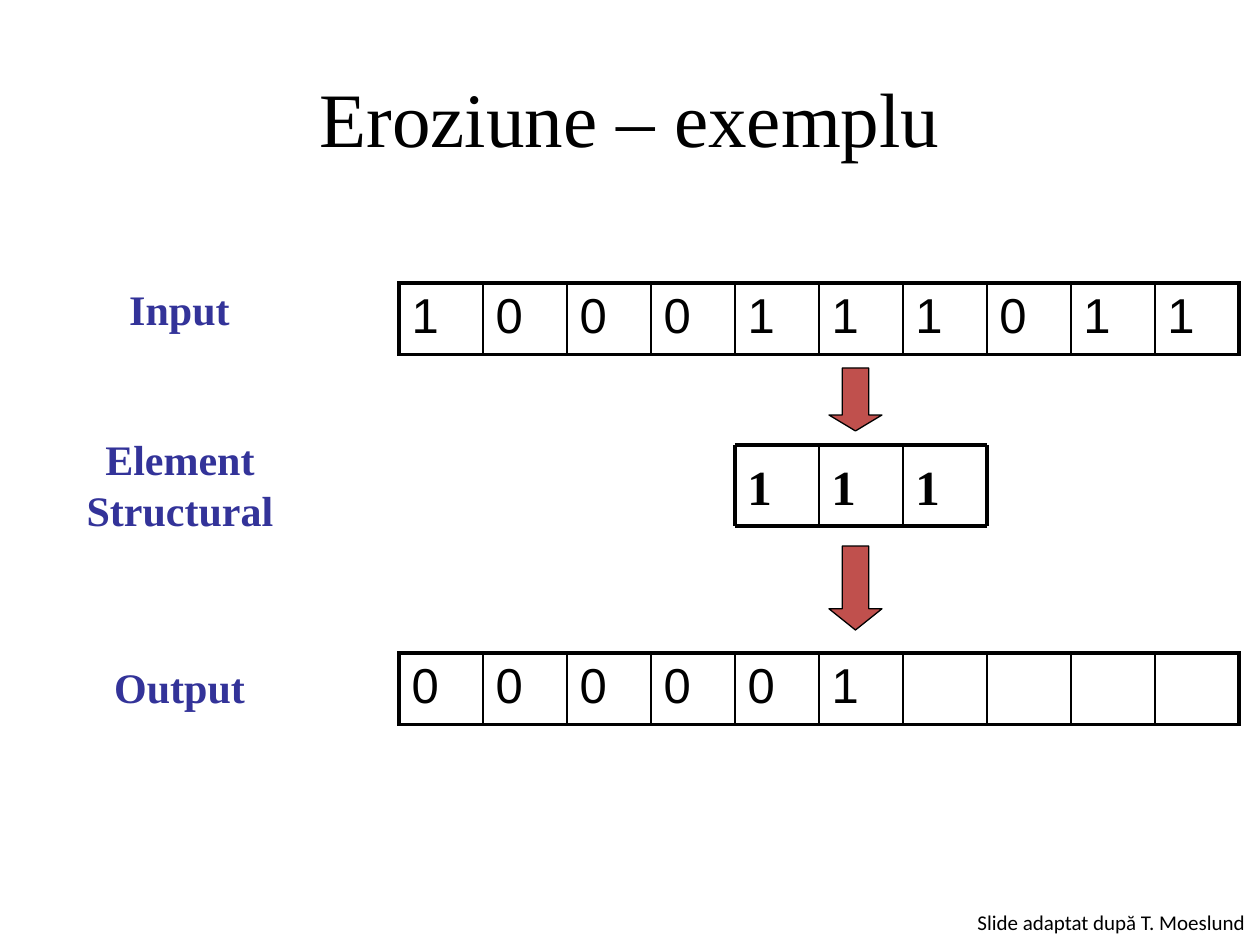
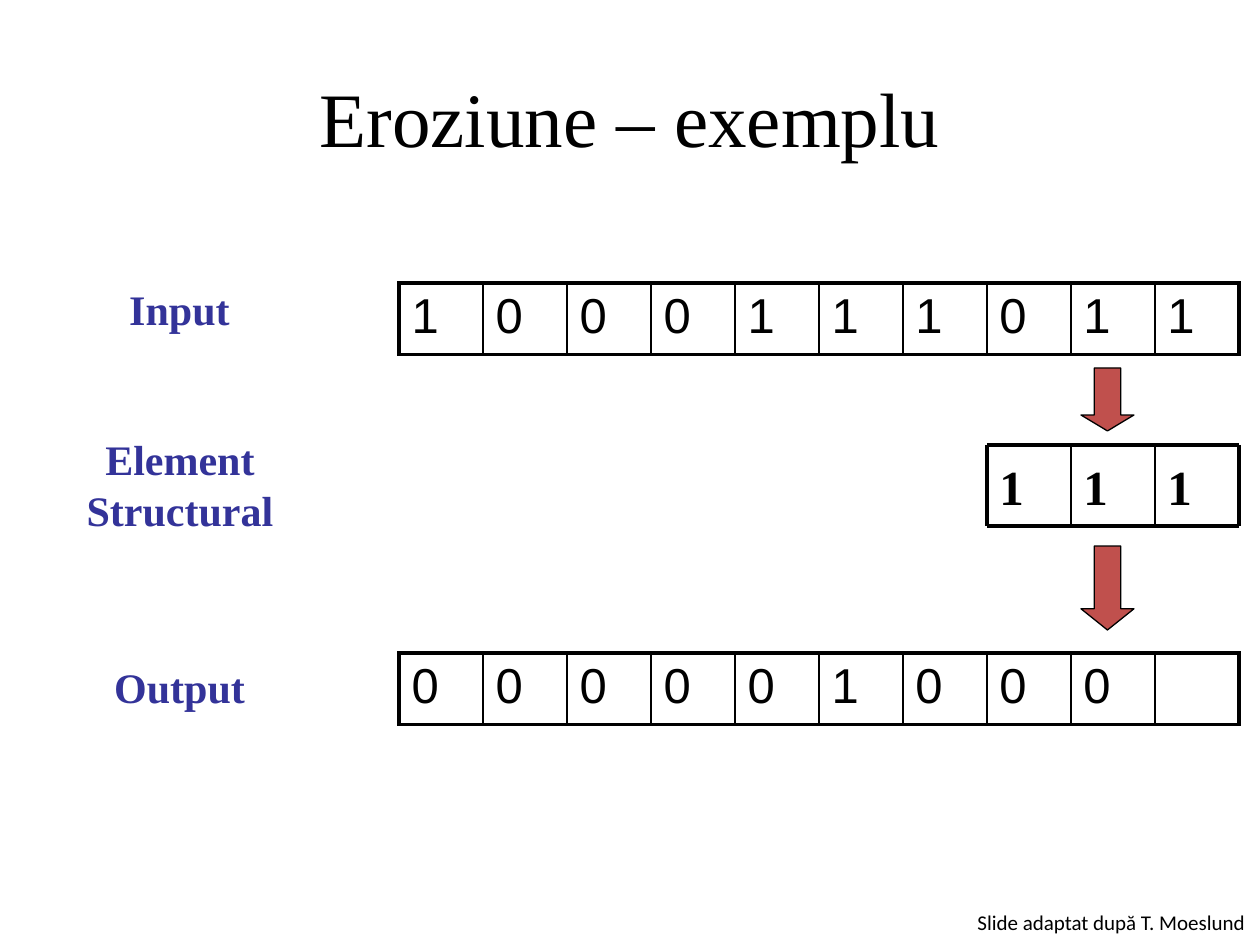
from lxml import etree
from pptx import Presentation
from pptx.dml.color import RGBColor
from pptx.enum.shapes import MSO_CONNECTOR, MSO_SHAPE
from pptx.enum.text import MSO_ANCHOR, MSO_AUTO_SIZE, PP_ALIGN
from pptx.oxml.ns import qn
from pptx.util import Emu, Pt

BLACK = RGBColor(0x00, 0x00, 0x00)
LABEL_BLUE = RGBColor(0x33, 0x33, 0x99)
ARROW_RED = RGBColor(0xC0, 0x50, 0x4D)

TITLE = "Eroziune – exemplu"
CREDIT = "Slide adaptat după T. Moeslund"
INPUT = "1000111011"
ELEMENT = "111"
# Output so far, and the column where the structuring element starts
STEPS = [("000001", 4), ("000001000", 7)]

# Lines of text and box (left, top, width, height) in px
LABELS = [
    (["Input"], (116, 277, 127, 63)),
    (["Element", "Structural"], (73, 427, 214, 114)),
    (["Output"], (101, 655, 157, 63)),
]
TITLE_BOX = (63, 38, 1134, 158)
CREDIT_BOX = (965, 903, 299, 38)
GRID_LEFT, CELL_WIDTH, ROW_HEIGHT = 399, 84, 70
INPUT_TOP, OUTPUT_TOP = 283, 653
ELEMENT_TOP, ELEMENT_HEIGHT = 445, 81
ARROW_OFFSET, ARROW_WIDTH = 94, 53
ARROWS = [(546, 84, 0.4), (368, 63, 0.3)]  # top, height, head length
THICK, THIN = Pt(2.25), Pt(1)

TITLE_FONT = {"name": "Times New Roman", "size": Pt(44)}
LABEL_FONT = {"name": "Times New Roman", "size": Pt(24), "bold": True}
ELEMENT_FONT = {"name": "Times New Roman", "size": Pt(28), "bold": True}
CELL_FONT = {"name": "Arial", "size": Pt(28)}
CREDIT_FONT = {"name": "Calibri", "size": Pt(12)}


def px(*lengths):
    return [Emu(round(length * 914400 / 126)) for length in lengths]


def write(paragraph, text, font, color=BLACK):
    span = paragraph.add_run()
    span.text = text
    for name, value in font.items():
        setattr(span.font, name, value)
    span.font.color.rgb = color


def add_text(shapes, lines, place, font, color=BLACK, align=PP_ALIGN.LEFT,
             line_spacing=None, **frame_format):
    frame = shapes.add_textbox(*px(*place)).text_frame
    for name, value in {"word_wrap": True, **frame_format}.items():
        setattr(frame, name, value)
    for index, line in enumerate(lines):
        para = frame.add_paragraph() if index else frame.paragraphs[0]
        para.alignment = align
        para.line_spacing = line_spacing
        write(para, line, font, color)


def set_borders(cell, widths):
    properties = cell._tc.get_or_add_tcPr()
    for side, width in widths.items():
        border = etree.SubElement(properties, qn(f"a:ln{side}"), w=str(width))
        fill = etree.SubElement(border, qn("a:solidFill"))
        etree.SubElement(fill, qn("a:srgbClr"), val=str(BLACK))


def add_signal(page, values, top):
    """Draw one row of cells, leaving those without a value empty."""
    count = len(INPUT)
    table = page.shapes.add_table(
        1, count, *px(GRID_LEFT, top, count * CELL_WIDTH, ROW_HEIGHT)).table
    table.first_row = table.horz_banding = False
    table.rows[0].height = px(ROW_HEIGHT)[0]
    for index, value in enumerate(values.ljust(count)):
        table.columns[index].width = px(CELL_WIDTH)[0]
        cell = table.cell(0, index)
        set_borders(cell, {
            "L": THIN if index else THICK,
            "R": THIN if index < count - 1 else THICK,
            "T": THICK,
            "B": THICK,
        })
        cell.fill.background()
        if value != " ":
            write(cell.text_frame.paragraphs[0], value, CELL_FONT)


def add_line(shapes, ends, width):
    line = shapes.add_connector(MSO_CONNECTOR.STRAIGHT, *px(*ends))
    line.line.color.rgb = BLACK
    line.line.width = width
    etree.SubElement(line._element.spPr, qn("a:effectLst"))


def add_element(page, column):
    """Draw the structuring element and its arrows from the given column."""
    shapes = page.shapes.add_group_shape().shapes
    count = len(ELEMENT)
    left = GRID_LEFT + column * CELL_WIDTH
    right = left + count * CELL_WIDTH
    bottom = ELEMENT_TOP + ELEMENT_HEIGHT
    for index, value in enumerate(ELEMENT):
        place = (left + index * CELL_WIDTH, ELEMENT_TOP, CELL_WIDTH, ELEMENT_HEIGHT)
        add_text(shapes, [value], place, ELEMENT_FONT,
                 vertical_anchor=MSO_ANCHOR.MIDDLE)
    for y in (ELEMENT_TOP, bottom):
        add_line(shapes, (left, y, right, y), THICK)
    for index in range(count + 1):
        x = left + index * CELL_WIDTH
        add_line(shapes, (x, ELEMENT_TOP, x, bottom),
                 THICK if index in (0, count) else THIN)
    for top, height, head in ARROWS:
        arrow = shapes.add_shape(
            MSO_SHAPE.DOWN_ARROW,
            *px(left + ARROW_OFFSET, top, ARROW_WIDTH, height))
        arrow.adjustments[0] = 0.5
        arrow.adjustments[1] = head
        arrow.shadow.inherit = False
        arrow.fill.solid()
        arrow.fill.fore_color.rgb = ARROW_RED
        arrow.line.color.rgb = BLACK
        arrow.line.width = Pt(0.75)


def add_step(deck, output, column):
    page = deck.slides.add_slide(deck.slide_layouts[6])
    add_text(page.shapes, [TITLE], TITLE_BOX, TITLE_FONT,
             align=PP_ALIGN.CENTER, vertical_anchor=MSO_ANCHOR.MIDDLE)
    add_signal(page, INPUT, INPUT_TOP)
    add_signal(page, output, OUTPUT_TOP)
    add_element(page, column)
    fitted = {"word_wrap": False, "auto_size": MSO_AUTO_SIZE.SHAPE_TO_FIT_TEXT}
    for lines, place in LABELS:
        add_text(page.shapes, lines, place, LABEL_FONT, LABEL_BLUE,
                 PP_ALIGN.CENTER, Pt(29), **fitted)
    add_text(page.shapes, [CREDIT], CREDIT_BOX, CREDIT_FONT, **fitted)


def main():
    deck = Presentation()
    deck.slide_width, deck.slide_height = px(1260, 945)
    for output, column in STEPS:
        add_step(deck, output, column)
    deck.save("out.pptx")


if __name__ == "__main__":
    main()
